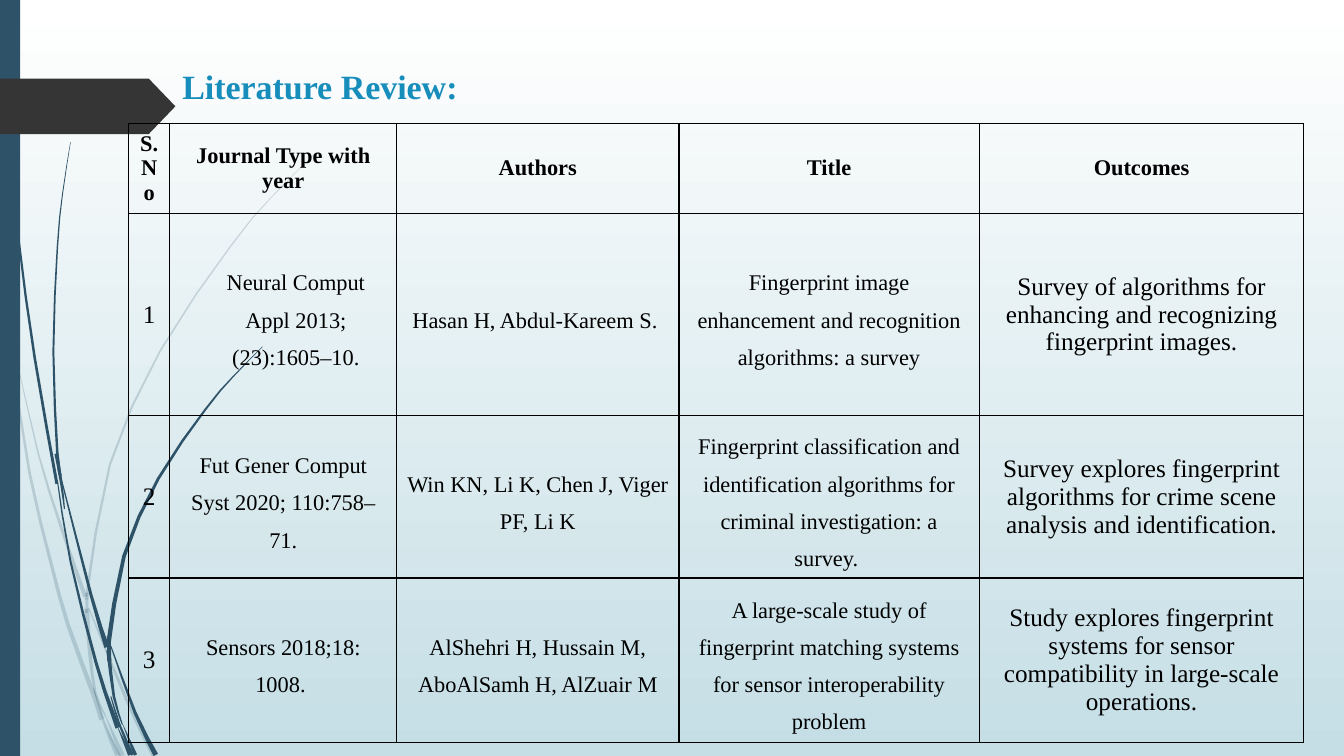
from math import hypot
from pptx import Presentation
from pptx.dml.color import RGBColor
from pptx.enum.shapes import MSO_SHAPE
from pptx.enum.text import MSO_ANCHOR, PP_ALIGN
from pptx.oxml.ns import qn
from pptx.util import Inches, Pt
from lxml.etree import SubElement

WIDE, HIGH = 133.33, 75
NAVY, BLACK = "2E5369", "000000"
COLS = [4.1, 22.5, 28, 29.8, 32.2]
ROWS = [8.9, 20.1, 16.1, 16.3]
CELLS = [
    ["S. No", "Journal Type with year", "Authors", "Title", "Outcomes"],
    ["1", "Neural Comput Appl 2013;(23):1605–10.", "Hasan H, Abdul-Kareem S. ",
     "Fingerprint image enhancement and recognition algorithms: a survey",
     "Survey of algorithms for enhancing and recognizing fingerprint images."],
    ["2", "Fut Gener Comput Syst 2020; 110:758–71.",
     "Win KN, Li K, Chen J, Viger PF, Li K",
     "Fingerprint classification and identification algorithms "
     "for criminal investigation: a survey. ",
     "Survey explores fingerprint algorithms for crime scene analysis "
     "and identification."],
    ["3", "Sensors 2018;18: 1008. ",
     "AlShehri H, Hussain M, AboAlSamh H, AlZuair M",
     "A large-scale study of fingerprint matching systems "
     "for sensor interoperability problem",
     "Study explores fingerprint systems for sensor compatibility "
     "in large-scale operations."],
]
PALE = [
    (0.2, 0.02, [(0, 29.1), (1.05, 34.8)]),
    (0.02, 0.2, [(1.4, 34.5), (3.8, 45), (6, 52.1), (8.45, 59.2)]),
    (0.05, 0.25, [(8.8, 60.3), (12.5, 69.3), (15.25, 75)]),
    (0.02, 0.25, [(10.5, 71.1), (12.15, 75)]),
    (0.1, 0.25, [(1.1, 35), (2.95, 47), (5.1, 56), (6.75, 62), (9.25, 68.8),
                 (10.1, 71.4)]),
    (0.25, 0.05, [(8.6, 60.4), (8.9, 64.6), (9.45, 68.7), (10.5, 71.1)]),
    (0.02, 0.15, [(31.2, 15.3), (26.8, 19.7), (22.9, 24.4), (15.9, 34.8),
                  (10.9, 46.1), (8.7, 58.4), (8.65, 59.2)]),
    (0.02, 0.25, [(10.1, 71.4), (11.65, 75)]),
    (0.15, 0.15, [(8.65, 58.8), (8.6, 60.8)]),
    (0.05, 0.1, [(9.3, 68.3), (10.2, 71.3), (11.9, 75)]),
]
DARK = [
    (0.05, 0.15, [(0.35, 0), (0.75, 11), (1.8, 23.3), (3.45, 35.5), (5.65, 48)]),
    (0.05, 0.25, [(6, 47.2), (9.05, 59.1), (10.6, 64.2)]),
    (0.05, 0.25, [(11, 64.1), (13.4, 70.7), (15.45, 74.9)]),
    (0.05, 0.25, [(5.7, 47.7), (7, 55.7), (9.55, 65.8), (11.05, 70.4),
                  (11.7, 72.2)]),
    (0.02, 0.15, [(7, 14.1), (6.2, 19.3), (5.7, 24.5), (5.3, 34.9), (5.7, 45.1),
                  (6, 47.2)]),
    (0.02, 0.17, [(12.2, 71.9), (13.45, 74.9)]),
    (0.2, 0.05, [(5.6, 45), (6.1, 48), (6.4, 50.5)]),
    (0.02, 0.22, [(26.05, 34.4), (23.1, 37.4), (20.4, 40.6), (15.7, 47.5),
                  (12.3, 55.2), (10.8, 63.6)]),
    (0.02, 0.2, [(11.7, 72.2), (12.9, 74.9)]),
    (0.2, 0.05, [(10.75, 64.5), (11.3, 69.1), (12.15, 71.9)]),
    (0.2, 0.2, [(10.8, 63.1), (10.85, 65.6)]),
    (0.05, 0.15, [(11, 69.1), (11.9, 72), (13.15, 74.9)]),
]


def step(count):
    """Turn grid steps of a tenth of an inch into a length."""
    return Inches(count / 10)


def hue(code):
    """Turn a hex string into a colour."""
    return RGBColor.from_string(code)


def paint(shape, code, alpha=100):
    """Give a shape a flat fill, with no line and no shadow."""
    shape.shadow.inherit = False
    shape.fill.solid()
    shape.fill.fore_color.rgb = hue(code)
    shape.line.fill.background()
    if alpha < 100:
        clr = shape.fill._xPr.find(".//" + qn("a:srgbClr"))
        SubElement(clr, qn("a:alpha"), val=str(alpha * 1000))


def curve(knots):
    """Add a smooth midpoint between each pair of knots."""
    ends = [knots[0], *knots, knots[-1]]
    trace = []
    for a, b, c, d in zip(ends, ends[1:], ends[2:], ends[3:]):
        trace += [b, tuple((9 * (q + r) - p - s) / 16
                           for p, q, r, s in zip(a, b, c, d))]
    return trace + [knots[-1]]


def wisp(slide, start, end, knots, code, alpha):
    """Draw a piece of grass whose half width runs from start to end."""
    trace = curve(knots)
    last = len(trace) - 1
    left, right = [], []
    for i, (x, y) in enumerate(trace):
        (ax, ay), (bx, by) = trace[max(i - 1, 0)], trace[min(i + 1, last)]
        half = start + (end - start) * i / last
        size = hypot(bx - ax, by - ay)
        dx, dy = half * (ay - by) / size, half * (bx - ax) / size
        left.append((step(x + dx), step(min(y + dy, HIGH))))
        right.append((step(x - dx), step(min(y - dy, HIGH))))
    edge = left + right[::-1]
    pen = slide.shapes.build_freeform(*edge[0])
    pen.add_line_segments(edge[1:], close=True)
    paint(pen.convert_to_shape(), code, alpha)


def block(slide, kind, box, code):
    """Draw a plain preset shape."""
    shape = slide.shapes.add_shape(kind, *map(step, box))
    paint(shape, code)
    return shape


def write(para, text, size, code, bold=False):
    """Add one run of text."""
    run = para.add_run()
    run.text = text
    font = run.font
    font.name, font.size, font.bold = "Times New Roman", Pt(size), bold
    font.color.rgb = hue(code)


def title(slide, text, box):
    """Write the slide's heading."""
    frame = slide.shapes.add_textbox(*map(step, box)).text_frame
    frame.word_wrap = True
    write(frame.paragraphs[0], text, 24.3, "178DBB", True)


def frame(cell):
    """Line a cell on all four sides."""
    props = cell._tc.get_or_add_tcPr()
    for i, side in enumerate(("lnL", "lnR", "lnT", "lnB")):
        line = props.makeelement(qn("a:" + side), {"w": str(Pt(1))})
        props.insert(i, line)
        fill = SubElement(line, qn("a:solidFill"))
        SubElement(fill, qn("a:srgbClr"), val=BLACK)


def fill(cell, text, row, col):
    """Style and write one cell."""
    cell.fill.background()
    frame(cell)
    cell.vertical_anchor = MSO_ANCHOR.MIDDLE
    cell.margin_left = cell.margin_right = step(0.9)
    cell.margin_top = cell.margin_bottom = 0
    para = cell.text_frame.paragraphs[0]
    para.alignment = PP_ALIGN.CENTER
    large = row > 0 and col in (0, 4)
    if row and not large:
        para.line_spacing = 1.5
    if (row, col) == (1, 1):
        para._p.get_or_add_pPr().set("marL", str(step(2.5)))
    write(para, text, 18 if large else 16, BLACK, row == 0)


def grid(slide, left, top):
    """Build the table of reviewed papers."""
    table = slide.shapes.add_table(
        len(ROWS), len(COLS), step(left), step(top),
        step(sum(COLS)), step(sum(ROWS))).table
    table.first_row = table.horz_banding = False
    for col, width in zip(table.columns, COLS):
        col.width = step(width)
    for i, (high, texts) in enumerate(zip(ROWS, CELLS)):
        table.rows[i].height = step(high)
        for j, text in enumerate(texts):
            fill(table.cell(i, j), text, i, j)


def shade(slide):
    """Fade the background from white to pale blue."""
    back = slide.background.fill
    back.gradient()
    back.gradient_angle = 270
    for stop, code in zip(back.gradient_stops, ("FFFFFF", "C5DEE5")):
        stop.color.rgb = hue(code)


def main():
    """Build and save the slide."""
    deck = Presentation()
    deck.slide_width, deck.slide_height = step(WIDE), step(HIGH)
    slide = deck.slides.add_slide(deck.slide_layouts[6])
    shade(slide)
    for blades, alpha in ((PALE, 20), (DARK, 100)):
        for blade in blades:
            wisp(slide, *blade, NAVY, alpha)
    block(slide, MSO_SHAPE.RECTANGLE, (0, 0, 2, HIGH), NAVY)
    tag = block(slide, MSO_SHAPE.PENTAGON, (0, 7.8, 17.4, 5.5), "353535")
    tag.adjustments[0] = 0.48
    title(slide, "Literature Review:", (17.1, 6, 97.5, 6.1))
    grid(slide, 12.75, 12.25)
    deck.save("out.pptx")


if __name__ == "__main__":
    main()
